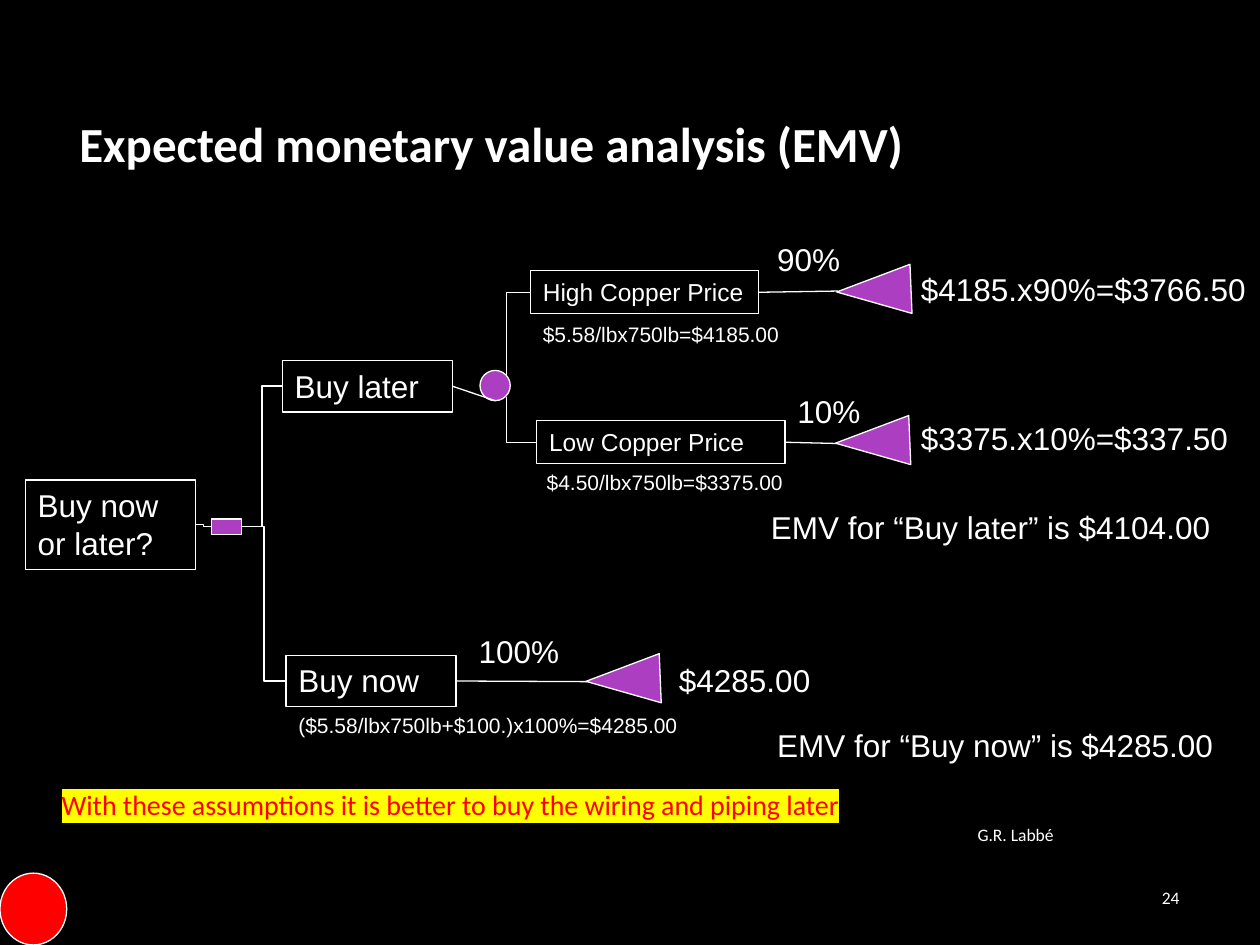
import pptx
import pptx.util
import pptx.dml.color
import pptx.enum.shapes
import pptx.enum.text
import pptx.oxml
import pptx.oxml.ns

Inches = pptx.util.Inches
SHAPE = pptx.enum.shapes.MSO_SHAPE
LINE = pptx.enum.shapes.MSO_CONNECTOR
ALIGN = pptx.enum.text.PP_ALIGN
ANCHOR = pptx.enum.text.MSO_ANCHOR
qn = pptx.oxml.ns.qn

COLORS = {
    "background": "000000",
    "white": "FFFFFF",
    "node": "AC3EC1",
    "red": "FF0000",
    "highlight": "FFFF00",
}
LEFT, RIGHT = 1, 3  # connection sites of a rectangle
CIRCLE_LEFT = 2  # connection site of an ellipse


def rgb(name):
    return pptx.dml.color.RGBColor.from_string(COLORS[name])


def write(sp, text, size=18, font="Arial", color="white", bold=False,
          align=ALIGN.LEFT, anchor=ANCHOR.TOP, wrap=True, highlight=None):
    tf = sp.text_frame
    tf.word_wrap = wrap
    tf.auto_size = pptx.enum.text.MSO_AUTO_SIZE.NONE
    tf.vertical_anchor = anchor
    p = tf.paragraphs[0]
    p.alignment = align
    r = p.add_run()
    r.text = text
    r.font.size = pptx.util.Pt(size)
    r.font.name = font
    r.font.bold = bold
    r.font.color.rgb = rgb(color)
    if highlight:
        mark = pptx.oxml.parse_xml(
            f'<a:highlight {pptx.oxml.ns.nsdecls("a")}>'
            f'<a:srgbClr val="{COLORS[highlight]}"/></a:highlight>')
        r.font._element.find(qn("a:latin")).addprevious(mark)


def add_label(slide, text, x, y, w, h, **style):
    sp = slide.shapes.add_textbox(Inches(x), Inches(y), Inches(w), Inches(h))
    write(sp, text, **style)


def add_outlined(slide, kind, x, y, w, h, fill=None):
    sp = slide.shapes.add_shape(kind, Inches(x), Inches(y), Inches(w), Inches(h))
    sp.shadow.inherit = False
    sp.line.color.rgb = rgb("white")
    sp.line.width = pptx.util.Pt(0.75)
    if fill:
        sp.fill.solid()
        sp.fill.fore_color.rgb = rgb(fill)
    else:
        sp.fill.background()
    return sp


def add_box(slide, text, x, y, w, h, size=18):
    sp = add_outlined(slide, SHAPE.RECTANGLE, x, y, w, h)
    write(sp, text, size=size)
    return sp


def add_outcome(slide, x, y):
    sp = add_outlined(slide, SHAPE.ISOSCELES_TRIANGLE, x, y, 0.39, 0.59, "node")
    sp.rotation = 267.6


def add_branch(slide, start, end, kind=LINE.STRAIGHT, bend=None):
    """Each end is a point (x, y) or a pair (shape, connection site)."""
    points = [(0, 0) if hasattr(e[0], "shape_type") else e for e in (start, end)]
    (x1, y1), (x2, y2) = points
    line = slide.shapes.add_connector(
        kind, Inches(x1), Inches(y1), Inches(x2), Inches(y2))
    for e, connect in ((start, line.begin_connect), (end, line.end_connect)):
        if hasattr(e[0], "shape_type"):
            connect(*e)
    line.line.color.rgb = rgb("white")
    line.line.width = pptx.util.Pt(0.75)
    props = line._element.spPr
    props.append(props.makeelement(qn("a:effectLst"), {}))
    if bend is not None:
        guides = props.find(qn("a:prstGeom")).get_or_add_avLst()
        guides.append(guides.makeelement(
            qn("a:gd"), {"name": "adj1", "fmla": f"val {bend}"}))


def add_tree(slide):
    # Decision boxes and nodes
    root = add_box(slide, "Buy now or later?", 0.2, 3.81, 1.35, 0.71)
    later = add_box(slide, "Buy later", 2.24, 2.86, 1.35, 0.41)
    now = add_box(slide, "Buy now", 2.27, 5.2, 1.35, 0.41)
    high = add_box(slide, "High Copper Price", 4.21, 2.15, 1.81, 0.34, size=14)
    low = add_box(slide, "Low Copper Price", 4.26, 3.34, 1.97, 0.34, size=14)
    decision = add_outlined(slide, SHAPE.RECTANGLE, 1.68, 4.12, 0.24, 0.12, "node")
    chance = add_outlined(slide, SHAPE.OVAL, 3.81, 2.94, 0.24, 0.24, "node")

    # Branches
    add_branch(slide, (root, RIGHT), (decision, LEFT), LINE.ELBOW)
    for box in (later, now):
        add_branch(slide, (decision, RIGHT), (box, LEFT), LINE.ELBOW)
    add_branch(slide, (later, RIGHT), (chance, CIRCLE_LEFT))
    add_branch(slide, (4.02, 2.98), (4.21, 2.32), LINE.ELBOW, bend=0)
    add_branch(slide, (4.02, 3.15), (4.26, 3.51), LINE.ELBOW, bend=0)
    for box, tip in ((high, (6.65, 2.31)), (low, (6.64, 3.52)), (now, (4.66, 5.41))):
        add_branch(slide, (box, RIGHT), tip)

    # Outcomes
    for x, y in ((6.74, 2.01), (6.73, 3.21), (4.75, 5.1)):
        add_outcome(slide, x, y)


def add_values(slide):
    # Probabilities
    for text, x, y, w in (("90%", 6.07, 1.86, 0.7), ("10%", 6.23, 3.06, 0.7),
                          ("100%", 3.7, 4.97, 0.84)):
        add_label(slide, text, x, y, w, 0.4, wrap=False)
    # Cost calculations
    for text, x, y, w in (
            ("$5.58/lbx750lb=$4185.00", 4.21, 2.5, 2.28),
            ("$4.50/lbx750lb=$3375.00", 4.24, 3.68, 2.39),
            ("($5.58/lbx750lb+$100.)x100%=$4285.00", 2.27, 5.61, 3.96)):
        add_label(slide, text, x, y, w, 0.3, size=12)
    # Expected values
    for text, x, y, w in (
            ("$4185.x90%=$3766.50", 7.21, 2.09, 2.78),
            ("$3375.x10%=$337.50", 7.21, 3.28, 2.83),
            ("$4285.00", 5.29, 5.2, 1.46),
            ("EMV for “Buy later” is $4104.00", 6.02, 3.98, 3.78),
            ("EMV for “Buy now” is $4285.00", 6.07, 5.71, 3.91)):
        add_label(slide, text, x, y, w, 0.4)


def main():
    prs = pptx.Presentation()
    prs.slide_width, prs.slide_height = Inches(10), Inches(7.5)
    slide = prs.slides.add_slide(prs.slide_layouts[5])
    slide.background.fill.solid()
    slide.background.fill.fore_color.rgb = rgb("background")

    # Title
    title = slide.shapes.title
    title.left, title.top = Inches(0.53), Inches(0.85)
    title.width, title.height = Inches(7.38), Inches(0.57)
    write(title, "Expected monetary value analysis (EMV)",
          size=28, font="Calibri", bold=True)

    add_tree(slide)
    add_values(slide)

    # Conclusion
    add_label(slide,
              "With these assumptions it is better to buy the wiring and piping later",
              0.39, 6.2, 9.5, 0.37, size=16, font="Calibri", color="red",
              highlight="highlight")

    # Footer
    add_outlined(slide, SHAPE.OVAL, 0, 6.93, 0.53, 0.57, "red")
    for text, x, y, w in (("24", 9, 6.92, 0.46), ("G.R. Labbé", 7.13, 6.42, 1.33)):
        add_label(slide, text, x, y, w, 0.41, size=10, font="Calibri",
                  align=ALIGN.RIGHT, anchor=ANCHOR.MIDDLE)

    prs.save("out.pptx")


if __name__ == "__main__":
    main()
